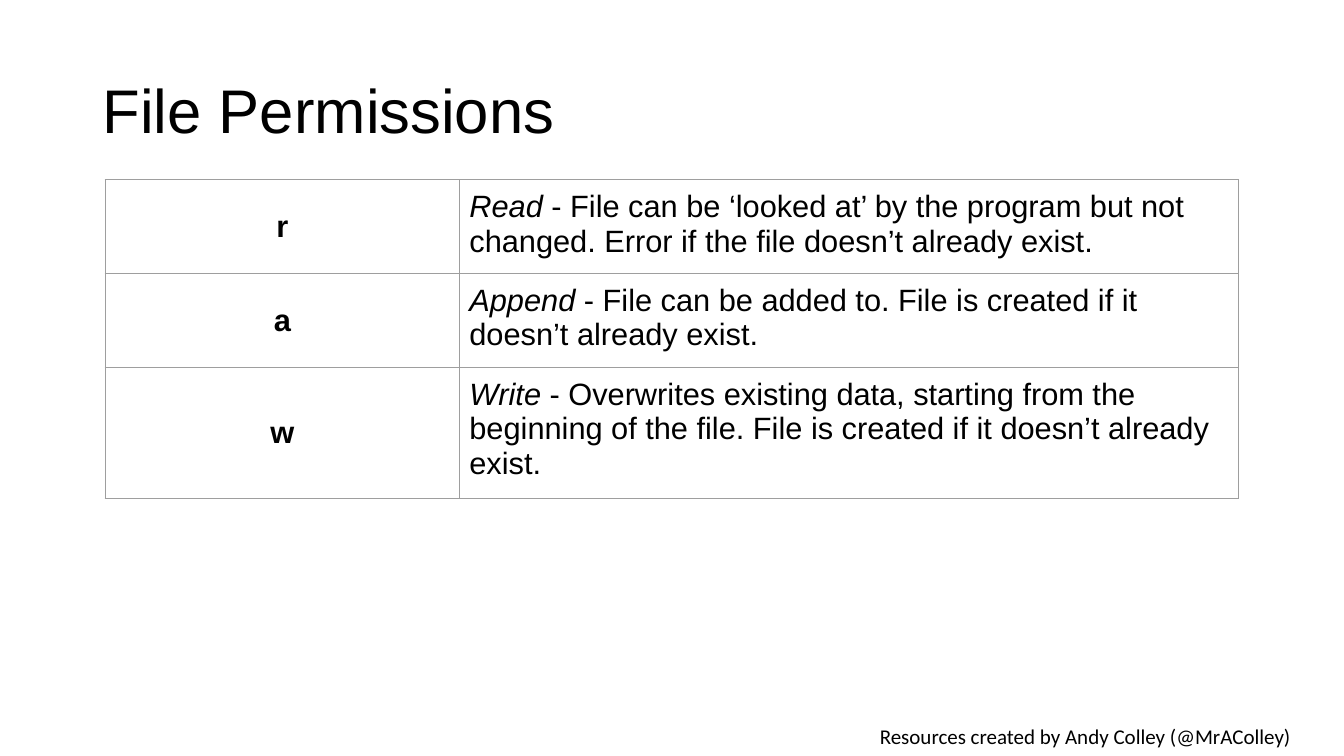
from dataclasses import dataclass

import lxml.etree
import pptx
import pptx.dml.color
import pptx.enum.text
import pptx.oxml.ns
import pptx.util

Cm, Pt = pptx.util.Cm, pptx.util.Pt
ALIGN = pptx.enum.text.PP_ALIGN
MIDDLE = pptx.enum.text.MSO_ANCHOR.MIDDLE
TOP = pptx.enum.text.MSO_ANCHOR.TOP

BLACK = pptx.dml.color.RGBColor(0x00, 0x00, 0x00)
GRID_GREY = pptx.dml.color.RGBColor(0x9E, 0x9E, 0x9E)

TITLE_FONT = {"name": "Arial", "size": Pt(44)}
CREDIT_FONT = {"name": "Calibri", "size": Pt(15)}
MODE_FONT = {"name": "Arial", "size": Pt(22), "bold": True}
MEANING_FONT = {"name": "Arial", "size": Pt(22), "bold": False}
ACTION_FONT = MEANING_FONT | {"italic": True}

PADDING = Cm(0.25)
COLUMN_WIDTHS = (Cm(8.93), Cm(19.63))


@dataclass
class Permission:
    """One file mode with its action, meaning and row height."""
    mode: str
    action: str
    meaning: str
    height: float


PERMISSIONS = [
    Permission("r", "Read", " - File can be ‘looked at’ by the program but not changed. "
               "Error if the file doesn’t already exist.", 2.24),
    Permission("a", "Append", " - File can be added to. "
               "File is created if it doesn’t already exist.", 2.24),
    Permission("w", "Write ", "- Overwrites existing data, starting from the beginning "
               "of the file. File is created if it doesn’t already exist.", 3.13),
]


def set_all(target, values: dict) -> None:
    """Set every attribute in values on target."""
    for attribute, value in values.items():
        setattr(target, attribute, value)


def add_text(paragraph, wording: str, font: dict) -> None:
    """Append a black run in the given font."""
    run = paragraph.add_run()
    run.text = wording
    set_all(run.font, font)
    run.font.color.rgb = BLACK


def add_label(slide, box: tuple, wording: str, font: dict, margin_y, layout: dict) -> None:
    """Add a one-line text box whose corner and size are in centimetres."""
    frame = slide.shapes.add_textbox(*(Cm(length) for length in box)).text_frame
    set_all(frame, {"word_wrap": True, "vertical_anchor": MIDDLE,
                    "margin_left": PADDING, "margin_right": PADDING,
                    "margin_top": margin_y, "margin_bottom": margin_y})
    set_all(frame.paragraphs[0], layout)
    add_text(frame.paragraphs[0], wording, font)


def fill_cell(cell, anchor, alignment, runs: list) -> None:
    """Write the runs into an unfilled cell with thin grey borders."""
    set_all(cell, {"vertical_anchor": anchor,
                   "margin_left": PADDING, "margin_right": PADDING,
                   "margin_top": PADDING, "margin_bottom": PADDING})
    paragraph = cell.text_frame.paragraphs[0]
    paragraph.alignment = alignment
    for wording, font in runs:
        add_text(paragraph, wording, font)
    qn = pptx.oxml.ns.qn
    properties = cell._tc.get_or_add_tcPr()
    for side in ("a:lnL", "a:lnR", "a:lnT", "a:lnB"):
        border = lxml.etree.SubElement(properties, qn(side), w=str(Pt(0.75)))
        fill = lxml.etree.SubElement(border, qn("a:solidFill"))
        lxml.etree.SubElement(fill, qn("a:srgbClr"), val=str(GRID_GREY))
    cell.fill.background()


def add_permissions(slide) -> None:
    """Add the table of file modes."""
    height = Cm(sum(permission.height for permission in PERMISSIONS))
    table = slide.shapes.add_table(len(PERMISSIONS), len(COLUMN_WIDTHS), Cm(2.65), Cm(4.53),
                                   sum(COLUMN_WIDTHS), height).table
    set_all(table, {"first_row": False, "horz_banding": False})
    for column, width in zip(table.columns, COLUMN_WIDTHS):
        column.width = width
    for row, permission in zip(table.rows, PERMISSIONS):
        row.height = Cm(permission.height)
        mode, meaning = row.cells
        fill_cell(mode, MIDDLE, ALIGN.CENTER, [(permission.mode, MODE_FONT)])
        fill_cell(meaning, TOP, ALIGN.LEFT, [(permission.action, ACTION_FONT),
                                             (permission.meaning, MEANING_FONT)])


presentation = pptx.Presentation()
set_all(presentation, {"slide_width": Cm(33.87), "slide_height": Cm(19.05)})
slide = presentation.slides.add_slide(presentation.slide_layouts[6])
add_label(slide, (20.85, 18.03, 13, 1.02), "Resources created by Andy Colley (@MrAColley)",
          CREDIT_FONT, PADDING, {"alignment": ALIGN.CENTER})
add_label(slide, (2.34, 1.02, 29.21, 3.68), "File Permissions",
          TITLE_FONT, Cm(0.13), {"alignment": ALIGN.LEFT, "line_spacing": 0.9})
add_permissions(slide)
presentation.save("out.pptx")
